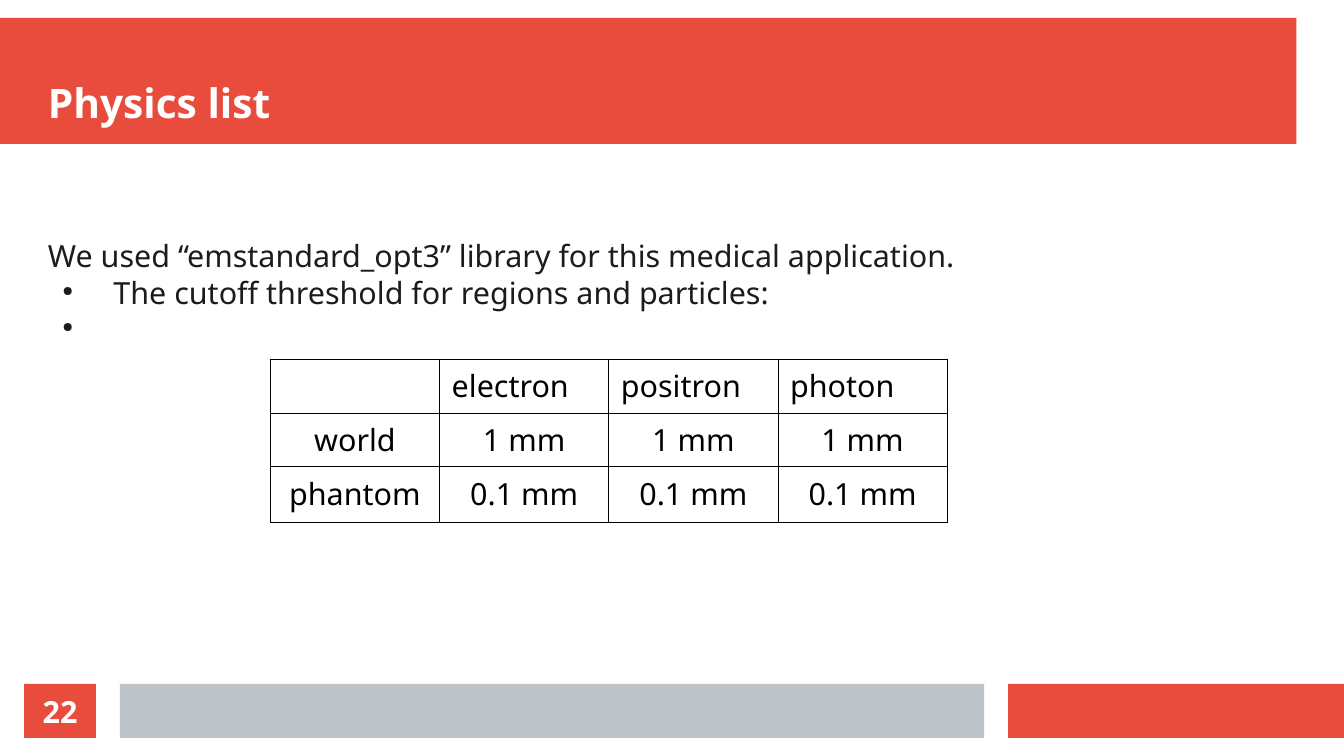
from dataclasses import dataclass

from lxml import etree
from pptx import Presentation
from pptx import util as u
from pptx.dml.color import RGBColor
from pptx.enum import shapes, text
from pptx.oxml import ns

Pt = u.Pt


@dataclass(frozen=True)
class Theme:
    font: str = "Noto Sans"
    red: str = "E74C3C"
    grey: str = "BDC3C7"
    white: str = "FFFFFF"
    ink: str = "1C1C1C"
    black: str = "000000"
    title: float = 24
    body: float = 18
    border: float = 0.45


THEME = Theme()

PARTICLES = ["electron", "positron", "photon"]
CUTOFFS = [
    ["", *PARTICLES],
    ["world", *["1 mm"] * len(PARTICLES)],
    ["phantom", *["0.1 mm"] * len(PARTICLES)],
]


def style(p, size, color, bold=False, align=text.PP_ALIGN.LEFT):
    p.alignment = align
    for r in p.runs:
        r.font.name = THEME.font
        r.font.size = Pt(size)
        r.font.bold = bold
        r.font.color.rgb = RGBColor.from_string(color)


def set_frame(tf, anchor):
    tf.word_wrap = True
    tf.vertical_anchor = anchor
    tf.margin_left = tf.margin_right = tf.margin_top = tf.margin_bottom = 0


def add_bar(s, left, top, width, height, color):
    sp = s.shapes.add_shape(shapes.MSO_SHAPE.RECTANGLE,
                            Pt(left), Pt(top), Pt(width), Pt(height))
    sp.shadow.inherit = False
    sp.fill.solid()
    sp.fill.fore_color.rgb = RGBColor.from_string(color)
    sp.line.fill.background()
    return sp


def add_text(s, left, top, width, height, lines, anchor=text.MSO_ANCHOR.TOP):
    sp = s.shapes.add_textbox(Pt(left), Pt(top), Pt(width), Pt(height))
    tf = sp.text_frame
    set_frame(tf, anchor)
    tf.text = "\n".join(lines)
    return tf.paragraphs


def add_bullet(p):
    pPr = p._p.get_or_add_pPr()
    pPr.set("marL", str(Pt(38.7)))
    pPr.set("indent", str(Pt(-30.2)))
    color = etree.SubElement(pPr, ns.qn("a:buClr"))
    etree.SubElement(color, ns.qn("a:srgbClr"), val=THEME.ink)
    etree.SubElement(pPr, ns.qn("a:buSzPct"), val="45000")
    etree.SubElement(pPr, ns.qn("a:buChar"), char="●")


def add_borders(cell):
    tcPr = cell._tc.get_or_add_tcPr()
    for i, side in enumerate(("lnL", "lnR", "lnT", "lnB")):
        ln = etree.Element(ns.qn(f"a:{side}"), w=str(Pt(THEME.border)))
        fill = etree.SubElement(ln, ns.qn("a:solidFill"))
        etree.SubElement(fill, ns.qn("a:srgbClr"), val=THEME.black)
        tcPr.insert(i, ln)


def add_grid(s, left, top, col_width, row_heights, rows):
    n = len(rows[0])
    table = s.shapes.add_table(len(rows), n, Pt(left), Pt(top),
                               Pt(col_width * n), Pt(sum(row_heights))).table
    table.first_row = table.horz_banding = False
    for col in table.columns:
        col.width = Pt(col_width)
    for i, (height, values) in enumerate(zip(row_heights, rows)):
        table.rows[i].height = Pt(height)
        align = text.PP_ALIGN.CENTER if i else text.PP_ALIGN.LEFT
        for j, value in enumerate(values):
            cell = table.cell(i, j)
            cell.text = value
            cell.fill.background()
            add_borders(cell)
            style(cell.text_frame.paragraphs[0], THEME.body, THEME.black, align=align)


def main():
    prs = Presentation()
    prs.slide_width, prs.slide_height = Pt(793.44), Pt(446.4)
    s = prs.slides.add_slide(prs.slide_layouts[6])

    # Header band and footer bars
    add_bar(s, 0, 10.6, 765.4, 74.4, THEME.red)
    footer_top, footer_height = 403.9, 31.8
    add_bar(s, 595.2, footer_top, 198.24, footer_height, THEME.red)
    add_bar(s, 70.8, footer_top, 510.2, footer_height, THEME.grey)

    # Slide number
    number = add_bar(s, 14.2, footer_top, 42.5, footer_height, THEME.red)
    tf = number.text_frame
    set_frame(tf, text.MSO_ANCHOR.MIDDLE)
    tf.text = "22"
    style(tf.paragraphs[0], THEME.body, THEME.white, True, text.PP_ALIGN.CENTER)

    # Title
    title, = add_text(s, 28.3, 21.6, 737, 53.2, ["Physics list"],
                      text.MSO_ANCHOR.BOTTOM)
    style(title, THEME.title, THEME.white, True)

    # Body, ending in a bullet without words
    body = add_text(s, 28.3, 140, 723, 253, [
        "We used “emstandard_opt3” library for this medical application.",
        "The cutoff threshold for regions and particles:",
        " ",
    ])
    for p in body[1:]:
        add_bullet(p)
    for p in body:
        style(p, THEME.body, THEME.ink)

    # Cutoff table
    add_grid(s, 159.6, 212, 99.9, [31.8, 31.8, 33], CUTOFFS)

    prs.save("out.pptx")


if __name__ == "__main__":
    main()
